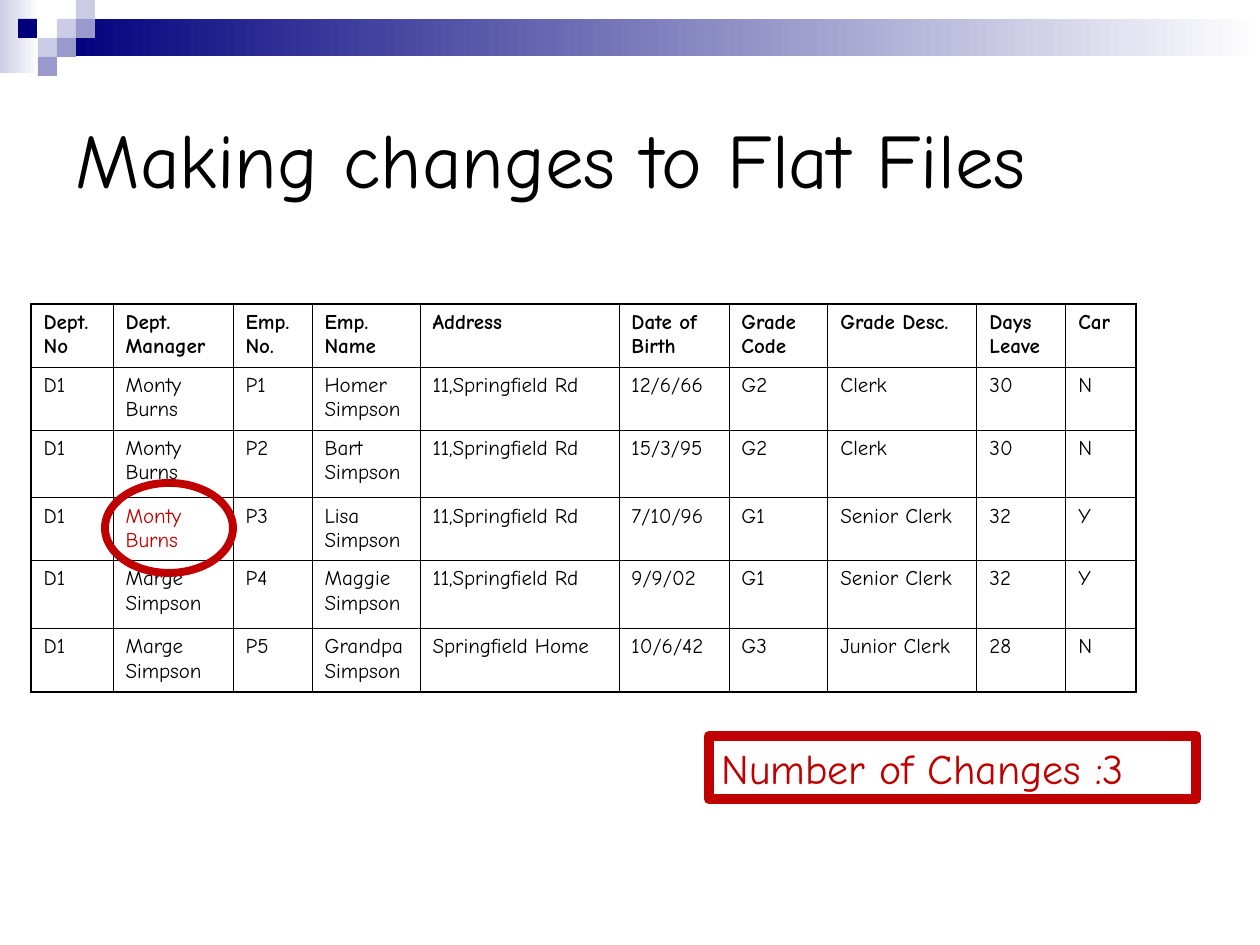
from dataclasses import dataclass
from lxml import etree
from pptx import Presentation
from pptx import util as u
from pptx.dml.color import RGBColor
from pptx.enum import shapes, text
from pptx.oxml.ns import qn

# Content
TITLE = "Making changes to Flat Files"
CHANGES = "Number of Changes :3"
HEADERS = ["Dept.\nNo", "Dept. Manager", "Emp. No.", "Emp. Name", "Address",
           "Date of Birth", "Grade Code", "Grade Desc.", "Days Leave", "Car"]
EMPLOYEES = [
    ["D1", "Monty Burns", "P1", "Homer Simpson", "11,Springfield Rd",
     "12/6/66", "G2", "Clerk", "30", "N"],
    ["D1", "Monty Burns", "P2", "Bart Simpson", "11,Springfield Rd",
     "15/3/95", "G2", "Clerk", "30", "N"],
    ["D1", "Monty Burns", "P3", "Lisa Simpson", "11,Springfield Rd",
     "7/10/96", "G1", "Senior Clerk", "32", "Y"],
    ["D1", "Marge Simpson", "P4", "Maggie Simpson", "11,Springfield Rd",
     "9/9/02", "G1", "Senior Clerk", "32", "Y"],
    ["D1", "Marge Simpson", "P5", "Grandpa Simpson", "Springfield Home",
     "10/6/42", "G3", "Junior Clerk", "28", "N"],
]
CHANGED_CELL = (3, 1)  # row, column


@dataclass(frozen=True)
class Theme:
    font: str = "Comic Neue"
    ink: str = "000000"
    accent: str = "C00000"
    navy: str = "00007D"
    mid: str = "9999CC"
    pale: str = "CCCCE6"
    white: str = "FFFFFF"
    title_size: int = 44
    changes_size: int = 24
    cell_size: int = 12
    outer_line: float = 1.08
    inner_line: float = 0.45


THEME = Theme()

# Layout in px
PX = u.Inches(1) // 126
SLIDE_SIZE = (1260, 945)
TITLE_BOX = (63, 63, 1134, 189)
CHANGES_BOX = (709, 736, 487, 63)
RING_BOX = (105, 483, 128, 90)
TABLE_ORIGIN = (31, 304)
COLUMN_WIDTHS = [82, 120, 79, 108, 199, 110, 99, 149, 89, 70]
ROW_HEIGHTS = [63, 63, 68, 63, 68, 63]
BANDS = [((0, 0, 39, 73), THEME.pale), ((57, 19, 1203, 37), THEME.navy)]
TILE = 19
TILES = [(57, 19, THEME.pale), (76, 0, THEME.pale), (76, 19, THEME.mid),
         (38, 38, THEME.pale), (18, 19, THEME.navy), (57, 38, THEME.mid),
         (38, 57, THEME.mid)]


def emu(*lengths):
    return [u.Emu(length * PX) for length in lengths]


def rgb(value):
    return RGBColor.from_string(value)


def write(frame, wording, size, color, bold=False):
    frame.word_wrap = True
    paragraph = frame.paragraphs[0]
    paragraph.alignment = text.PP_ALIGN.LEFT
    for index, line in enumerate(wording.split("\n")):
        if index:
            paragraph.add_line_break()
        run = paragraph.add_run()
        run.text = line
        run.font.name = THEME.font
        run.font.size = u.Pt(size)
        run.font.bold = bold
        run.font.color.rgb = rgb(color)


def add_plain(slide, preset, box):
    shape = slide.shapes.add_shape(preset, *emu(*box))
    shape.shadow.inherit = False
    shape.fill.background()
    shape.line.fill.background()
    return shape


def add_outlined(slide, preset, box, weight):
    shape = add_plain(slide, preset, box)
    shape.line.color.rgb = rgb(THEME.accent)
    shape.line.width = u.Pt(weight)
    return shape


def add_decoration(slide):
    rectangle = shapes.MSO_SHAPE.RECTANGLE
    for box, start in BANDS:
        fill = add_plain(slide, rectangle, box).fill
        fill.gradient()
        fill.gradient_angle = 0
        for stop, color, position in zip(fill.gradient_stops, (start, THEME.white), (0, 1)):
            stop.color.rgb = rgb(color)
            stop.position = position
    for left, top, color in TILES:
        fill = add_plain(slide, rectangle, (left, top, TILE, TILE)).fill
        fill.solid()
        fill.fore_color.rgb = rgb(color)


def set_borders(cell, outer_sides):
    properties = cell._tc.get_or_add_tcPr()
    for side in "LRTB":
        weight = THEME.outer_line if side in outer_sides else THEME.inner_line
        line = etree.SubElement(properties, qn(f"a:ln{side}"), w=str(u.Pt(weight)))
        fill = etree.SubElement(line, qn("a:solidFill"))
        etree.SubElement(fill, qn("a:srgbClr"), val=THEME.ink)


def add_employee_table(slide):
    rows = [HEADERS] + EMPLOYEES
    last_row, last_column = len(rows) - 1, len(HEADERS) - 1
    table = slide.shapes.add_table(
        len(rows), len(HEADERS),
        *emu(*TABLE_ORIGIN, sum(COLUMN_WIDTHS), sum(ROW_HEIGHTS))).table
    table.first_row = table.horz_banding = False
    for column, width in zip(table.columns, emu(*COLUMN_WIDTHS)):
        column.width = width
    for row, height in zip(table.rows, emu(*ROW_HEIGHTS)):
        row.height = height
    for r, values in enumerate(rows):
        for c, value in enumerate(values):
            cell = table.cell(r, c)
            edges = {"L": c == 0, "R": c == last_column, "T": r == 0, "B": r == last_row}
            set_borders(cell, [side for side, outer in edges.items() if outer])
            cell.fill.background()
            color = THEME.accent if (r, c) == CHANGED_CELL else THEME.ink
            write(cell.text_frame, value, THEME.cell_size, color, bold=r == 0)


def main():
    deck = Presentation()
    deck.slide_width, deck.slide_height = emu(*SLIDE_SIZE)
    slide = deck.slides.add_slide(deck.slide_layouts[5])
    add_decoration(slide)

    # Title
    title = slide.shapes.title
    title.left, title.top, title.width, title.height = emu(*TITLE_BOX)
    title.text_frame.vertical_anchor = text.MSO_ANCHOR.MIDDLE
    write(title.text_frame, TITLE, THEME.title_size, THEME.ink)

    # Count of changes
    changes = add_outlined(slide, shapes.MSO_SHAPE.RECTANGLE, CHANGES_BOX, 6)
    changes.text_frame.vertical_anchor = text.MSO_ANCHOR.TOP
    write(changes.text_frame, CHANGES, THEME.changes_size, THEME.accent)

    # Records, with a ring around the changed cell
    add_employee_table(slide)
    add_outlined(slide, shapes.MSO_SHAPE.OVAL, RING_BOX, 4.5)

    deck.save("out.pptx")


if __name__ == "__main__":
    main()
